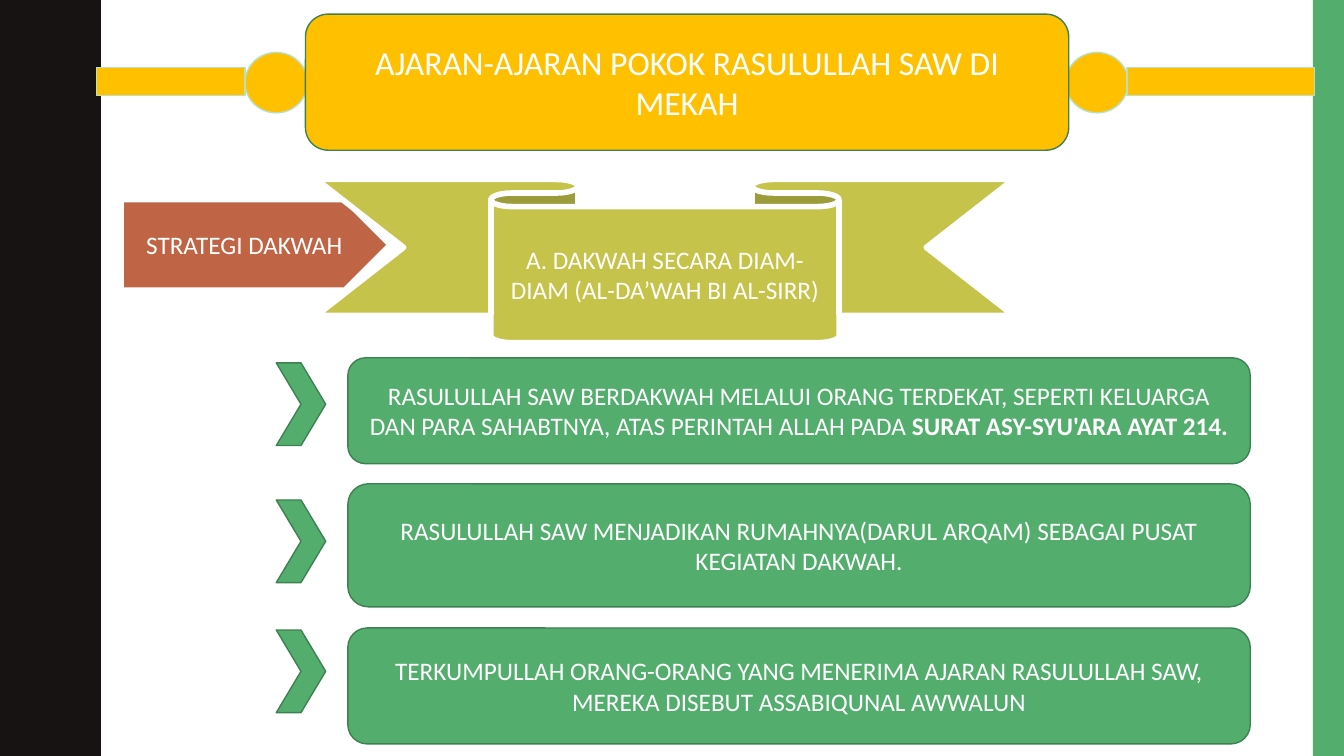
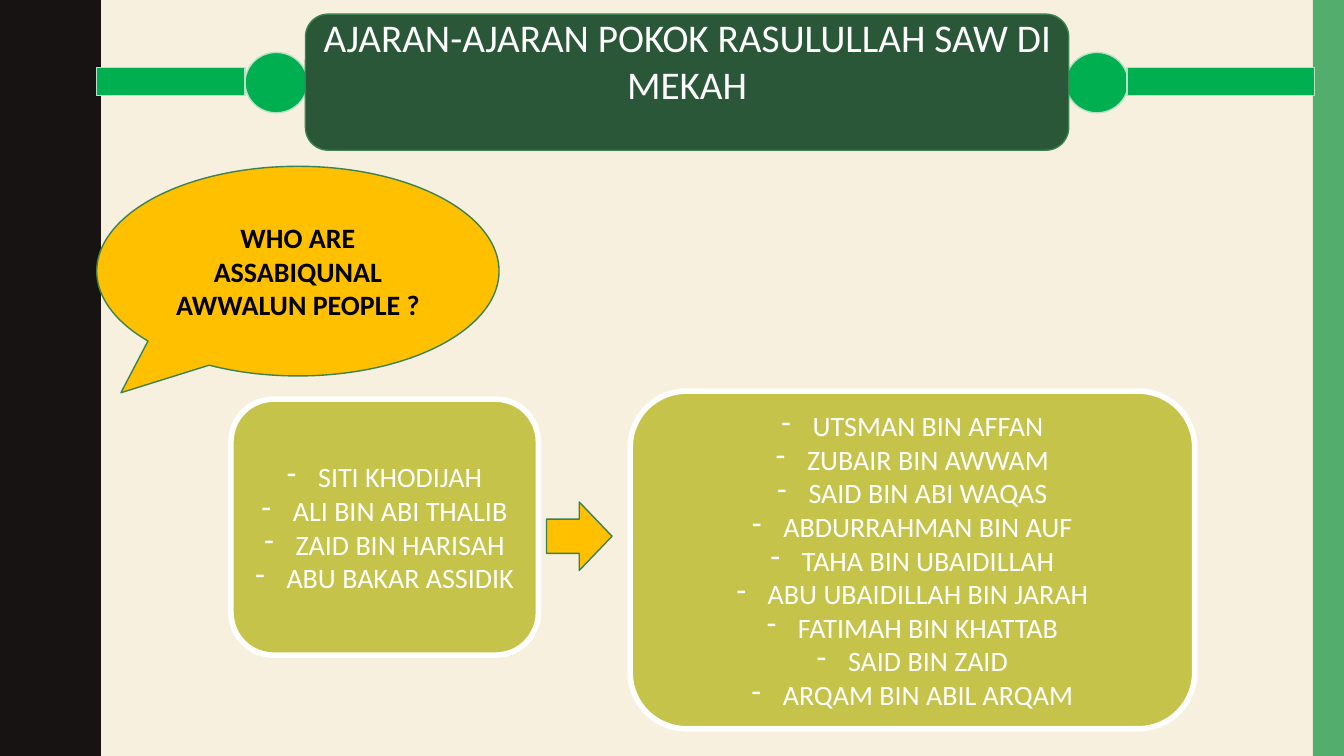
import pptx
import pptx.dml.color
import pptx.enum.shapes
import pptx.enum.text
import pptx.oxml.ns
import pptx.util
from lxml import etree

Inches = pptx.util.Inches
Pt = pptx.util.Pt
RGBColor = pptx.dml.color.RGBColor
SHAPE = pptx.enum.shapes.MSO_SHAPE
ANCHOR = pptx.enum.text.MSO_ANCHOR
CENTER = pptx.enum.text.PP_ALIGN.CENTER

WHITE = RGBColor(0xFF, 0xFF, 0xFF)
BLACK = RGBColor(0, 0, 0)
CREAM = RGBColor(0xF7, 0xF0, 0xDF)
INK = RGBColor(0x17, 0x13, 0x12)
GREEN = RGBColor(0x53, 0xAE, 0x6E)
BRIGHT_GREEN = RGBColor(0x00, 0xB0, 0x50)
DARK_GREEN = RGBColor(0x29, 0x57, 0x37)
EDGE_GREEN = RGBColor(0x3D, 0x81, 0x51)
PALE_GREEN = RGBColor(0xBA, 0xDF, 0xC5)
AMBER = RGBColor(0xFF, 0xC0, 0x00)
OLIVE = RGBColor(0xC5, 0xC3, 0x4A)
RUST = RGBColor(0xBF, 0x65, 0x46)

FONT = "Calibri"
THIN = (EDGE_GREEN, 1)
THICK = (WHITE, 4)
WIDTH, HEIGHT = 13.33, 7.5

TITLE = "AJARAN-AJARAN POKOK RASULULLAH SAW DI MEKAH"
STRATEGY = "STRATEGI DAKWAH"
METHOD = "A. DAKWAH SECARA DIAM-DIAM (AL-DA’WAH BI AL-SIRR)"
# (text, bold ending, box top, box height, chevron top)
STEPS = [
    ("RASULULLAH SAW BERDAKWAH MELALUI ORANG TERDEKAT, SEPERTI KELUARGA "
     "DAN PARA SAHABTNYA, ATAS PERINTAH ALLAH PADA",
     " SURAT ASY-SYU'ARA AYAT 214.", 3.55, 1.05, 3.6),
    ("RASULULLAH SAW MENJADIKAN RUMAHNYA(DARUL ARQAM) SEBAGAI PUSAT "
     "KEGIATAN DAKWAH.", "", 4.8, 1.22, 4.96),
    ("TERKUMPULLAH ORANG-ORANG YANG MENERIMA AJARAN RASULULLAH SAW, "
     "MEREKA DISEBUT ASSABIQUNAL AWWALUN", "", 6.23, 1.15, 6.25),
]
QUESTION = "WHO ARE ASSABIQUNAL AWWALUN PEOPLE ?"
FIRST_BELIEVERS = ["SITI KHODIJAH", "ALI BIN ABI THALIB", "ZAID BIN HARISAH",
                   "ABU BAKAR ASSIDIK"]
LATER_BELIEVERS = ["UTSMAN BIN AFFAN", "ZUBAIR BIN AWWAM", "SAID BIN ABI WAQAS",
                   "ABDURRAHMAN BIN AUF", "TAHA BIN UBAIDILLAH",
                   "ABU UBAIDILLAH BIN JARAH", "FATIMAH BIN KHATTAB",
                   "SAID BIN ZAID", "ARQAM BIN ABIL ARQAM"]

# Outward half of one wave of the left band; the inward half mirrors it.
HALF_WAVE = [(0.78, 0), (0.78, 0.07), (0.79, 0.14), (0.8, 0.2), (0.81, 0.25),
             (0.83, 0.29), (0.85, 0.33), (0.87, 0.38), (0.89, 0.42),
             (0.91, 0.46), (0.93, 0.5), (0.95, 0.55), (0.96, 0.61), (0.97, 0.68)]
WAVE_SUM = 0.78 + 0.97
HALF_LENGTH = 0.75


def paint(shape, fill, line=None):
    shape.shadow.inherit = False
    shape.fill.solid()
    shape.fill.fore_color.rgb = fill
    if line:
        shape.line.color.rgb, shape.line.width = line[0], Pt(line[1])
    else:
        shape.line.fill.background()


def add_box(slide, kind, at, fill, line=None):
    box = slide.shapes.add_shape(kind, *map(Inches, at))
    paint(box, fill, line)
    return box


def write(box, lines, size, color=WHITE, bold=False):
    """Put centred lines in the box and return their paragraphs."""
    frame = box.text_frame
    frame.word_wrap = True
    frame.vertical_anchor = ANCHOR.MIDDLE
    frame.text = "\n".join(lines)
    for paragraph in frame.paragraphs:
        paragraph.alignment = CENTER
        font = paragraph.font
        font.name, font.size, font.bold = FONT, Pt(size), bold
        font.color.rgb = color
    return frame.paragraphs


def add_dash(paragraph):
    properties = paragraph._p.get_or_add_pPr()
    properties.set("marL", str(Inches(0.31)))
    properties.set("indent", str(-Inches(0.31)))
    bullet = etree.Element(pptx.oxml.ns.qn("a:buChar"), char="-")
    # Bullets come before the default run properties in the schema.
    properties.find(pptx.oxml.ns.qn("a:defRPr")).addprevious(bullet)


def add_wavy_band(slide):
    edge = []
    for half in range(int(HEIGHT / HALF_LENGTH)):
        for x, y in HALF_WAVE:
            edge.append((WAVE_SUM - x if half % 2 else x, y + half * HALF_LENGTH))
    edge += [(HALF_WAVE[0][0], HEIGHT), (0, HEIGHT)]
    builder = slide.shapes.build_freeform(0, 0, scale=Inches(1))
    builder.add_line_segments(edge, close=True)
    paint(builder.convert_to_shape(), INK)


def start_slide(deck, background, accent, title_fill, title_size):
    """Add a slide with side bands and the title; return slide and title box."""
    slide = deck.slides.add_slide(deck.slide_layouts[6])
    slide.background.fill.solid()
    slide.background.fill.fore_color.rgb = background
    add_wavy_band(slide)
    add_box(slide, SHAPE.RECTANGLE, (13.02, 0, 0.31, HEIGHT), GREEN)
    for knob_left, bar_left, bar_width in [(2.43, 0.96, 1.47), (10.57, 11.18, 1.86)]:
        add_box(slide, SHAPE.OVAL, (knob_left, 0.52, 0.62, 0.6), accent, (PALE_GREEN, 1))
        add_box(slide, SHAPE.RECTANGLE, (bar_left, 0.67, bar_width, 0.28), accent,
                (PALE_GREEN, 1))
    title = add_box(slide, SHAPE.ROUNDED_RECTANGLE, (3.03, 0.14, 7.57, 1.35),
                    title_fill, THIN)
    write(title, [TITLE], title_size)
    return slide, title


def build_strategy(deck):
    slide, _ = start_slide(deck, WHITE, AMBER, AMBER, 24)
    strategy = add_box(slide, SHAPE.PENTAGON, (1.2, 1.98, 2.67, 0.9), RUST, THICK)
    write(strategy, [STRATEGY], 18)
    for text, ending, top, height, chevron_top in STEPS:
        step = add_box(slide, SHAPE.ROUNDED_RECTANGLE, (3.45, top, 8.95, height),
                       GREEN, THIN)
        paragraph = write(step, [text], 18)[0]
        if ending:
            run = paragraph.add_run()
            run.text = ending
            run.font.bold = True
        add_box(slide, SHAPE.CHEVRON, (2.74, chevron_top, 0.49, 0.82), GREEN, THIN)
    method = add_box(slide, SHAPE.DOWN_RIBBON, (3.14, 1.78, 6.91, 1.62), OLIVE, THICK)
    write(method, [METHOD], 18)


def build_believers(deck):
    slide, title = start_slide(deck, CREAM, BRIGHT_GREEN, DARK_GREEN, 28)
    title.text_frame.vertical_anchor = ANCHOR.TOP
    title.text_frame.margin_top = Inches(-0.07)
    question = add_box(slide, SHAPE.OVAL_CALLOUT, (0.96, 1.65, 3.99, 2.08), AMBER, THIN)
    question.adjustments[0], question.adjustments[1] = -0.44, 0.58
    write(question, [QUESTION], 20, BLACK, bold=True)
    for names, at in [(FIRST_BELIEVERS, (2.29, 3.96, 3.05, 2.54)),
                      (LATER_BELIEVERS, (6.25, 3.88, 5.6, 3.35))]:
        group = add_box(slide, SHAPE.ROUNDED_RECTANGLE, at, OLIVE, THICK)
        for paragraph in write(group, names, 20):
            add_dash(paragraph)
    add_box(slide, SHAPE.RIGHT_ARROW, (5.42, 4.98, 0.65, 0.68), AMBER, THIN)


def main():
    deck = pptx.Presentation()
    deck.slide_width, deck.slide_height = Inches(WIDTH), Inches(HEIGHT)
    build_strategy(deck)
    build_believers(deck)
    deck.save("out.pptx")


if __name__ == "__main__":
    main()
